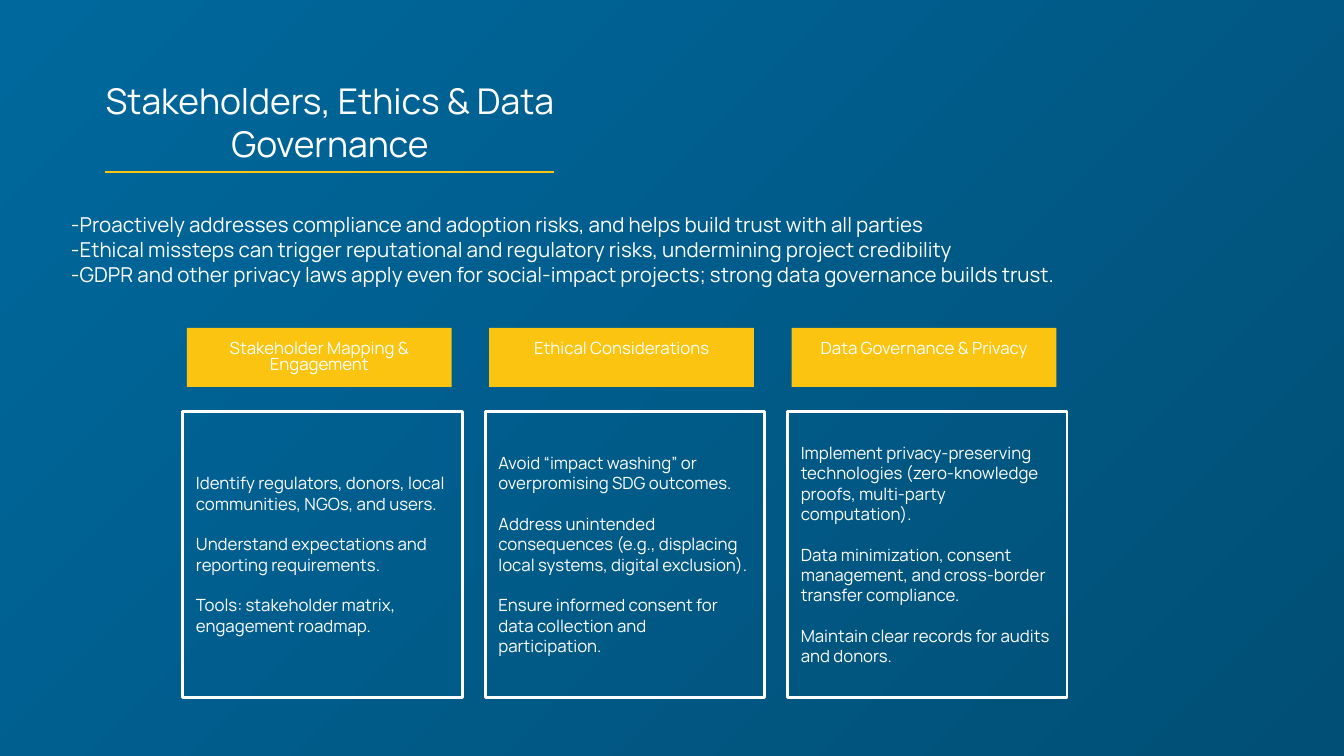
import pptx
import pptx.dml.color
import pptx.enum.shapes
import pptx.enum.text
import pptx.oxml.ns
import pptx.util
from lxml import etree
from pptx.util import Inches

FONT = "Manrope"
COLORS = {
    "background_start": "00689D",
    "background_end": "014F76",
    "accent": "FBC410",
    "light": "FFFFFF",
}

TITLE = "Stakeholders, Ethics & Data Governance"
# A newline inside a paragraph is a line break
KEY_POINTS = [
    "-Proactively addresses compliance and adoption risks, and helps build trust with all parties\n"
    "-Ethical missteps can trigger reputational and regulatory risks, undermining project credibility",
    "-GDPR and other privacy laws apply even for social-impact projects; "
    "strong data governance builds trust.",
]
PILLARS = [
    ("Stakeholder Mapping & Engagement", [
        "Identify regulators, donors, local communities, NGOs, and users.",
        "Understand expectations and reporting requirements.",
        "Tools: stakeholder matrix, engagement roadmap.",
    ]),
    ("Ethical Considerations", [
        "Avoid “impact washing” or overpromising SDG outcomes.",
        "Address unintended consequences (e.g., displacing local systems, digital exclusion).",
        "Ensure informed consent for data collection and participation.",
    ]),
    ("Data Governance & Privacy", [
        "Implement privacy-preserving technologies (zero-knowledge proofs, multi-party computation).",
        "Data minimization, consent management, and cross-border transfer compliance.",
        "Maintain clear records for audits and donors.",
    ]),
]
PILLAR_LEFT, PILLAR_PITCH = 1.36, 2.25


def color(name):
    return pptx.dml.color.RGBColor.from_string(COLORS[name])


def write_text(shape, paragraphs, *, size, align="LEFT", anchor="TOP", gap=0, spacing=None):
    """Fill a shape with paragraphs in one format; gap is the space between them."""
    frame = shape.text_frame
    frame.word_wrap = True
    frame.vertical_anchor = pptx.enum.text.MSO_ANCHOR[anchor]
    frame.margin_left = frame.margin_right = Inches(0.1)
    frame.margin_top = frame.margin_bottom = Inches(0.1)
    for index, text in enumerate(paragraphs):
        paragraph = frame.add_paragraph() if index else frame.paragraphs[0]
        paragraph.alignment = pptx.enum.text.PP_ALIGN[align]
        if spacing:
            paragraph.line_spacing = spacing
        if index and gap:
            paragraph.space_before = pptx.util.Pt(gap)
        for number, line in enumerate(text.split("\n")):
            if number:
                paragraph.add_line_break()
            run = paragraph.add_run()
            run.text = line
            run.font.name = FONT
            run.font.size = pptx.util.Pt(size)
            run.font.color.rgb = color("light")


def add_text(slide, left, top, width, height, paragraphs, **text_format):
    box = slide.shapes.add_textbox(Inches(left), Inches(top), Inches(width), Inches(height))
    write_text(box, paragraphs, **text_format)


def add_panel(slide, left, top, width, height, paragraphs, fill=None, outline=None, **text_format):
    panel = slide.shapes.add_shape(
        pptx.enum.shapes.MSO_SHAPE.RECTANGLE,
        Inches(left), Inches(top), Inches(width), Inches(height))
    panel.shadow.inherit = False
    if fill:
        panel.fill.solid()
        panel.fill.fore_color.rgb = color(fill)
    else:
        panel.fill.background()
    if outline:
        panel.line.color.rgb = color(outline)
        panel.line.width = pptx.util.Pt(1.5)
    else:
        panel.line.fill.background()
    write_text(panel, paragraphs, **text_format)


def add_rule(slide, left, right, top):
    rule = slide.shapes.add_connector(
        pptx.enum.shapes.MSO_CONNECTOR.STRAIGHT,
        Inches(left), Inches(top), Inches(right), Inches(top))
    rule.line.color.rgb = color("accent")
    rule.line.width = pptx.util.Pt(1.5)
    etree.SubElement(rule._element.spPr, pptx.oxml.ns.qn("a:effectLst"))


def paint_background(slide):
    fill = slide.background.fill
    fill.gradient()
    fill.gradient_angle = 315
    for stop, name in zip(fill.gradient_stops, ("background_start", "background_end")):
        stop.color.rgb = color(name)


def add_pillar(slide, left, heading, points):
    add_panel(slide, left, 3.06, 2.08, 2.13, points, outline="light",
              size=9, anchor="MIDDLE", gap=11)
    add_panel(slide, left + 0.03, 2.44, 1.97, 0.44, [heading], fill="accent",
              size=9, align="CENTER", spacing=0.8)


def main():
    deck = pptx.Presentation()
    # Widescreen, 16:9
    deck.slide_width = Inches(10)
    deck.slide_height = Inches(10 * 9 / 16)
    slide = deck.slides.add_slide(deck.slide_layouts[6])
    paint_background(slide)

    # Title with its underline
    add_text(slide, -0.05, 0.49, 5.01, 0.84, [TITLE], size=19, align="CENTER")
    add_rule(slide, 0.78, 4.12, 1.28)

    # Three pillars
    for index, (heading, points) in enumerate(PILLARS):
        add_pillar(slide, PILLAR_LEFT + index * PILLAR_PITCH, heading, points)

    # Key points
    add_text(slide, 0.43, 1.48, 7.94, 0.94, KEY_POINTS, size=11)

    deck.save("out.pptx")


if __name__ == "__main__":
    main()
